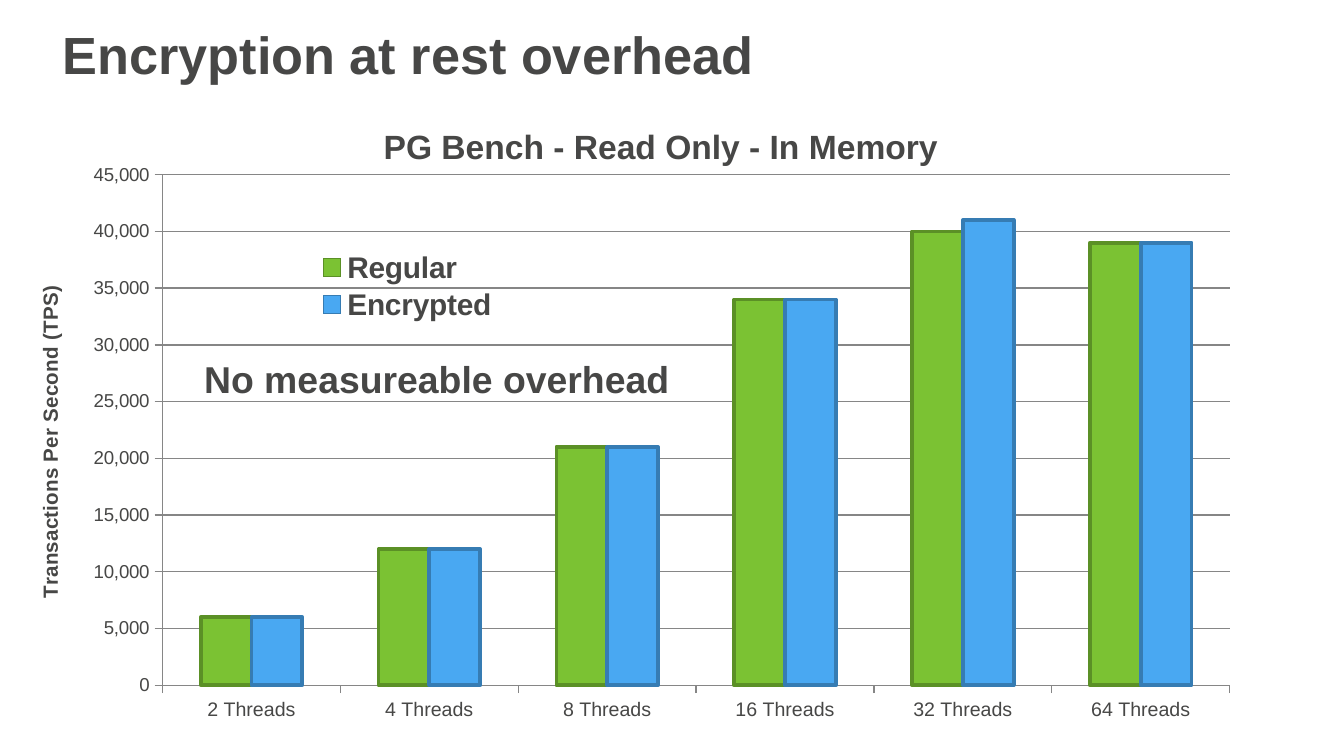
import pptx
import pptx.chart.data
import pptx.dml.color
import pptx.enum.chart
import pptx.enum.text
import pptx.oxml
import pptx.oxml.ns
import pptx.util
from pptx.util import Inches

FONT = "Arial"
TEXT_GREY = pptx.dml.color.RGBColor(0x47, 0x47, 0x46)
GRID_GREY = pptx.dml.color.RGBColor(0x86, 0x86, 0x86)
GREEN = pptx.dml.color.RGBColor(0x7B, 0xC2, 0x33)
DARK_GREEN = pptx.dml.color.RGBColor(0x5B, 0x90, 0x26)
BLUE = pptx.dml.color.RGBColor(0x49, 0xA8, 0xF2)
DARK_BLUE = pptx.dml.color.RGBColor(0x36, 0x7C, 0xB3)

CHART_WIDTH = 9.48
CHART_HEIGHT = 4.71
THREAD_COUNTS = (2, 4, 8, 16, 32, 64)
SERIES = (
    ("Regular", (6000, 12000, 21000, 34000, 40000, 39000), GREEN, DARK_GREEN),
    ("Encrypted", (6000, 12000, 21000, 34000, 41000, 39000), BLUE, DARK_BLUE),
)


def style_font(font, size, bold=False):
    font.name = FONT
    font.size = pptx.util.Pt(size)
    font.bold = bold
    font.color.rgb = TEXT_GREY


def style_line(line, color, width):
    line.color.rgb = color
    line.width = pptx.util.Pt(width)


def add_heading(slide, text, left, top, width, height, size, line_spacing=1.0):
    shape = slide.shapes.add_textbox(Inches(left), Inches(top), Inches(width), Inches(height))
    frame = shape.text_frame
    frame.word_wrap = True
    frame.vertical_anchor = pptx.enum.text.MSO_ANCHOR.MIDDLE
    paragraph = frame.paragraphs[0]
    paragraph.line_spacing = line_spacing
    run = paragraph.add_run()
    run.text = text
    style_font(run.font, size, True)


def set_chart_title(title, text, size):
    run = title.text_frame.paragraphs[0].add_run()
    run.text = text
    style_font(run.font, size, True)


def place(element, followers, left, top, width=None, height=None, inner=False):
    for old_layout in element.findall(pptx.oxml.ns.qn("c:layout")):
        element.remove(old_layout)
    settings = [("layoutTarget", "inner")] if inner else []
    settings += [("xMode", "edge"), ("yMode", "edge")]
    settings += [("x", left / CHART_WIDTH), ("y", top / CHART_HEIGHT)]
    if width is not None:
        settings += [("w", width / CHART_WIDTH), ("h", height / CHART_HEIGHT)]
    content = "".join(f'<c:{name} val="{value}"/>' for name, value in settings)
    layout = pptx.oxml.parse_xml(
        f'<c:layout {pptx.oxml.ns.nsdecls("c")}>'
        f"<c:manualLayout>{content}</c:manualLayout></c:layout>"
    )
    element.insert_element_before(layout, *followers)


def style_axis(axis, size):
    style_font(axis.tick_labels.font, size)
    axis.major_tick_mark = pptx.enum.chart.XL_TICK_MARK.OUTSIDE
    axis.minor_tick_mark = pptx.enum.chart.XL_TICK_MARK.NONE
    style_line(axis.format.line, GRID_GREY, 0.75)


def style_value_axis(axis):
    style_axis(axis, 10)
    axis.minimum_scale = 0
    axis.maximum_scale = 45000
    axis.major_unit = 5000
    axis.tick_labels.number_format = "#,##0"
    axis.tick_labels.number_format_is_linked = False
    axis.has_major_gridlines = True
    style_line(axis.major_gridlines.format.line, GRID_GREY, 0.75)
    set_chart_title(axis.axis_title, "Transactions Per Second (TPS)", 11)


def add_throughput_chart(slide):
    data = pptx.chart.data.CategoryChartData()
    data.categories = [f"{count} Threads" for count in THREAD_COUNTS]
    for name, values, _, _ in SERIES:
        data.add_series(name, values)
    chart = slide.shapes.add_chart(
        pptx.enum.chart.XL_CHART_TYPE.COLUMN_CLUSTERED,
        Inches(0.18), Inches(0.73), Inches(CHART_WIDTH), Inches(CHART_HEIGHT), data,
    ).chart
    style_font(chart.font, 10)
    chart.has_title = True
    set_chart_title(chart.chart_title, "PG Bench - Read Only - In Memory", 18)
    chart.chart_title.include_in_layout = False

    plot = chart.plots[0]
    plot.gap_width = 150
    plot.overlap = 0
    plot.vary_by_categories = False
    for series, (_, _, fill_color, line_color) in zip(plot.series, SERIES):
        series.format.fill.solid()
        series.format.fill.fore_color.rgb = fill_color
        style_line(series.format.line, line_color, 2)

    style_axis(chart.category_axis, 10.5)
    style_value_axis(chart.value_axis)

    chart.has_legend = True
    legend = chart.legend
    legend.position = pptx.enum.chart.XL_LEGEND_POSITION.RIGHT
    legend.include_in_layout = False
    style_font(legend.font, 16, True)

    title_followers = ("c:overlay", "c:spPr", "c:txPr")
    place(chart.chart_title._element, title_followers, 2.63, 0.15)
    place(chart.value_axis.axis_title._element, title_followers, 0.06, 1.37)
    place(legend._element, title_followers, 2.14, 1.11, 1.42, 0.58)
    plot_area = chart._chartSpace.chart.plotArea
    place(plot_area, ("c:barChart",), 1.03, 0.57, 7.94, 3.8, inner=True)


def main():
    presentation = pptx.Presentation()
    presentation.slide_width = Inches(10)
    presentation.slide_height = Inches(10) * 9 // 16
    slide = presentation.slides.add_slide(presentation.slide_layouts[6])
    add_throughput_chart(slide)
    add_heading(slide, "Encryption at rest overhead", 0.37, 0.13, 8.97, 0.6, 28, 0.9)
    add_heading(slide, "No measureable overhead", 1.42, 2.6, 4.05, 0.44, 20)
    presentation.save("out.pptx")


if __name__ == "__main__":
    main()
